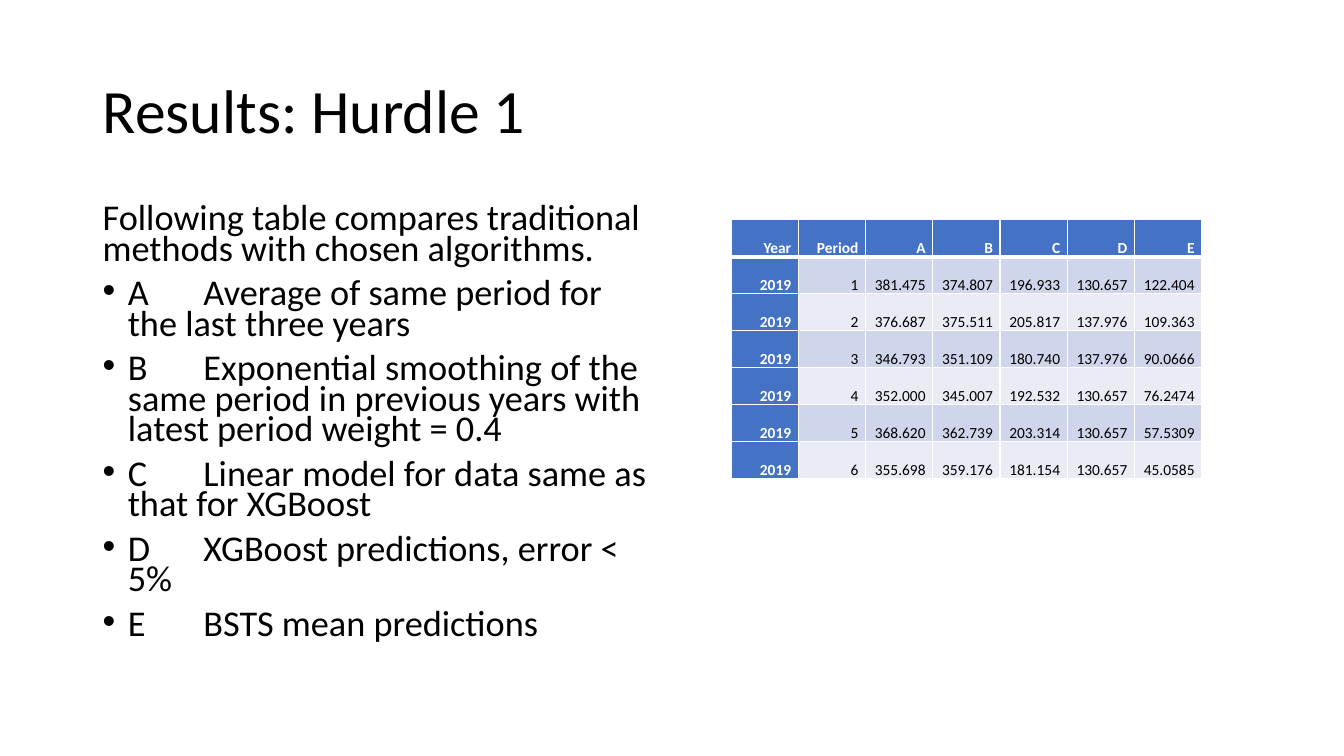
from typing import NamedTuple

from lxml.etree import SubElement
from pptx import Presentation
from pptx.dml.color import RGBColor
from pptx.enum.text import MSO_ANCHOR, PP_ALIGN
from pptx.oxml.ns import qn
from pptx.util import Inches, Pt

FONT = "Calibri"
COLORS = {
    "text": "000000",
    "white": "FFFFFF",
    "header": "4472C4",
    "band_dark": "CFD5EA",
    "band_light": "E9EBF5",
}
INTRO = "Following table compares traditional methods with chosen algorithms."
HEADERS = ["Year", "Period", "A", "B", "C", "D", "E"]
RESULTS = [
    ["381.475", "374.807", "196.933", "130.657", "122.404"],
    ["376.687", "375.511", "205.817", "137.976", "109.363"],
    ["346.793", "351.109", "180.740", "137.976", "90.0666"],
    ["352.000", "345.007", "192.532", "130.657", "76.2474"],
    ["368.620", "362.739", "203.314", "130.657", "57.5309"],
    ["355.698", "359.176", "181.154", "130.657", "45.0585"],
]


class Method(NamedTuple):
    """A forecasting method and its letter in the table."""
    label: str
    description: str


class CellStyle(NamedTuple):
    """The look of one table cell."""
    fill: str
    color: str
    bold: bool
    top: float
    bottom: float


METHODS = [
    Method("A ", "Average of same period for the last three years"),
    Method("B", "Exponential smoothing of the same period in previous years "
                "with latest period weight = 0.4"),
    Method("C", "Linear model for data same as that for XGBoost"),
    Method("D", "XGBoost predictions, error < 5%"),
    Method("E", "BSTS mean predictions"),
]


def add_run(paragraph, text: str, size: float, color: str = "text", bold: bool = False) -> None:
    """Add one formatted run to a paragraph."""
    run = paragraph.add_run()
    run.text = text
    run.font.name = FONT
    run.font.size = Pt(size)
    run.font.bold = bold
    run.font.color.rgb = RGBColor.from_string(COLORS[color])


def format_title(title) -> None:
    """Place the title placeholder and write its text."""
    title.left, title.top = Inches(0.92), Inches(0.4)
    title.width, title.height = Inches(11.5), Inches(1.45)
    title.text_frame.vertical_anchor = MSO_ANCHOR.MIDDLE
    paragraph = title.text_frame.paragraphs[0]
    paragraph.alignment = PP_ALIGN.LEFT
    paragraph.line_spacing = 0.9
    add_run(paragraph, "Results: Hurdle 1", 44)


def set_bullet(paragraph) -> None:
    """Give a paragraph a hanging bullet and a tab stop for its description."""
    properties = paragraph._p.get_or_add_pPr()
    properties.set("marL", str(Inches(0.25)))
    properties.set("indent", str(-Inches(0.25)))
    SubElement(properties, qn("a:buFont"), typeface="Arial")
    SubElement(properties, qn("a:buChar"), char="•")
    tabs = SubElement(properties, qn("a:tabLst"))
    SubElement(tabs, qn("a:tab"), pos=str(Inches(1)), algn="l")


def add_methods(slide) -> None:
    """Add the introduction and the bulleted list of methods."""
    box = slide.shapes.add_textbox(Inches(0.92), Inches(2), Inches(5.67), Inches(4.76))
    frame = box.text_frame
    frame.word_wrap = True
    lines = [INTRO] + [f"{method.label}\t{method.description}" for method in METHODS]
    for index, line in enumerate(lines):
        paragraph = frame.add_paragraph() if index else frame.paragraphs[0]
        paragraph.line_spacing = 0.7
        paragraph.space_before = Pt(10)
        if index:
            set_bullet(paragraph)
        add_run(paragraph, line, 25.9)


def cell_style(row: int, column: int) -> CellStyle:
    """Choose the style of a cell from its place in the table."""
    heading = row == 0 or column == 0
    band = "band_dark" if row % 2 else "band_light"
    return CellStyle(
        fill="header" if heading else band,
        color="white" if heading else "text",
        bold=heading,
        top=3 if row == 1 else 1,
        bottom=3 if row == 0 else 1,
    )


def set_borders(cell, style: CellStyle) -> None:
    """Draw the white cell borders, before any fill is set."""
    properties = cell._tc.get_or_add_tcPr()
    widths = {"a:lnL": 1, "a:lnR": 1, "a:lnT": style.top, "a:lnB": style.bottom}
    for tag, width in widths.items():
        line = SubElement(properties, qn(tag), w=str(Pt(width)))
        fill = SubElement(line, qn("a:solidFill"))
        SubElement(fill, qn("a:srgbClr"), val=COLORS["white"])


def format_cell(cell, text: str, style: CellStyle) -> None:
    """Write and format one table cell."""
    set_borders(cell, style)
    cell.fill.solid()
    cell.fill.fore_color.rgb = RGBColor.from_string(COLORS[style.fill])
    cell.vertical_anchor = MSO_ANCHOR.BOTTOM
    cell.margin_left = cell.margin_right = Inches(0.07)
    cell.margin_top = cell.margin_bottom = Inches(0)
    paragraph = cell.text_frame.paragraphs[0]
    paragraph.alignment = PP_ALIGN.RIGHT
    paragraph.line_spacing = 2.0
    add_run(paragraph, text, 11, style.color, style.bold)


def add_results(slide) -> None:
    """Add the table of results by period."""
    rows = [HEADERS] + [["2019", str(period), *values]
                        for period, values in enumerate(RESULTS, start=1)]
    graphic_frame = slide.shapes.add_table(
        len(rows), len(HEADERS), Inches(7.25), Inches(2.18), Inches(4.67), Inches(2.2))
    table = graphic_frame.table
    table.first_col = True
    for row_index, values in enumerate(rows):
        table.rows[row_index].height = Inches(0.2)
        for column_index, text in enumerate(values):
            format_cell(table.cell(row_index, column_index), text,
                        cell_style(row_index, column_index))
    graphic_frame.height = Inches(2.2)


def main() -> None:
    """Build and save the slide."""
    presentation = Presentation()
    presentation.slide_width = Inches(13.33)
    presentation.slide_height = Inches(7.5)
    slide = presentation.slides.add_slide(presentation.slide_layouts[5])
    format_title(slide.shapes.title)
    add_methods(slide)
    add_results(slide)
    presentation.save("out.pptx")


main()
